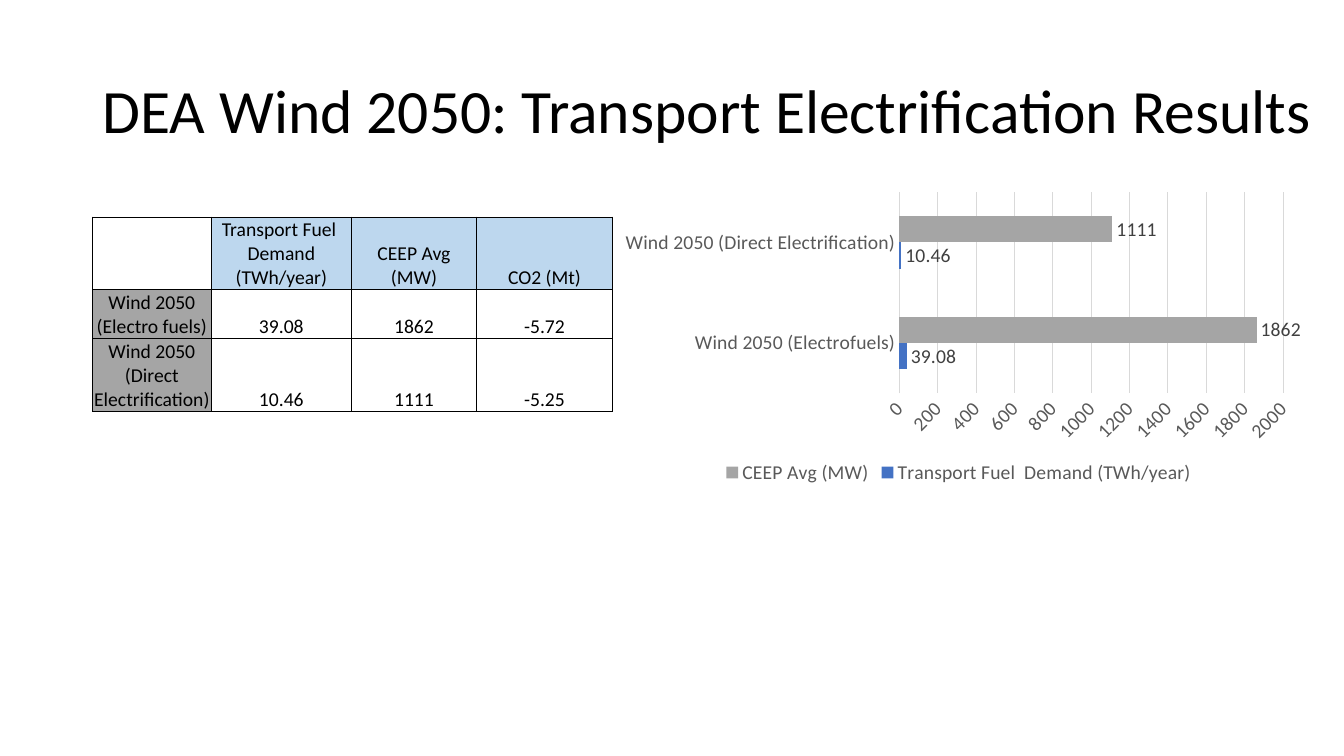
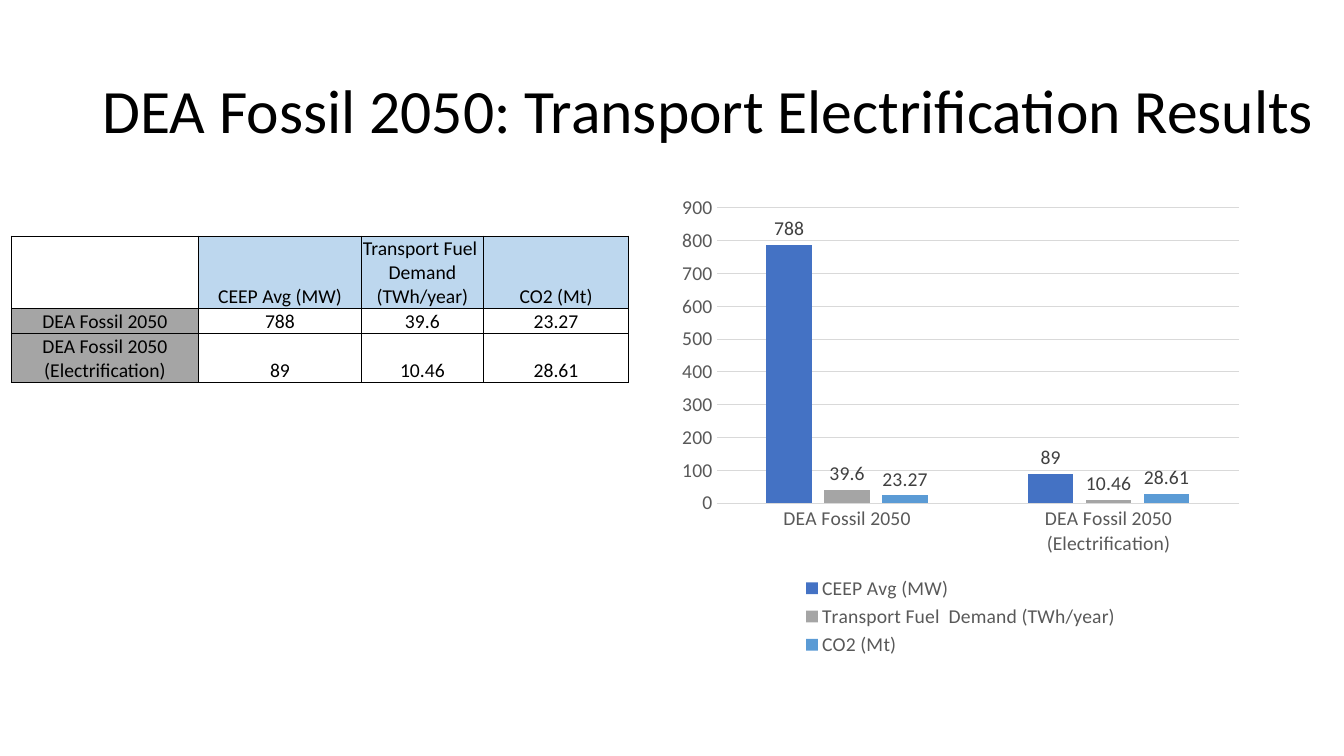
"""Build two slides of transport electrification results, each with a table and a chart."""
import lxml.etree
import pptx
import pptx.chart.data
import pptx.dml.color
import pptx.enum.chart
import pptx.enum.text
import pptx.oxml.ns
import pptx.util

Pt = pptx.util.Pt
CHART = pptx.enum.chart
TEXT = pptx.enum.text
COLORS = {
    "text": "000000",
    "axis": "595959",
    "label": "404040",
    "grid": "D9D9D9",
    "header": "BDD7EE",
    "gray": "A5A5A5",
    "blue": "4472C4",
    "sky": "5B9BD5",
}
FUEL = "Transport Fuel  Demand (TWh/year)"
CEEP = "CEEP Avg (MW)"
CO2 = "CO2 (Mt)"


class Deck:
    """Hold the shared style and the current slide."""

    font = "Calibri"
    title_box = dict(left=Pt(66), top=Pt(29), width=Pt(894), height=Pt(104))
    title_frame = dict(
        word_wrap=True,
        auto_size=TEXT.MSO_AUTO_SIZE.NONE,
        vertical_anchor=TEXT.MSO_ANCHOR.MIDDLE,
    )
    title_paragraph = dict(alignment=TEXT.PP_ALIGN.LEFT, line_spacing=0.9)
    cell_format = dict(
        vertical_anchor=TEXT.MSO_ANCHOR.BOTTOM,
        margin_left=Pt(0.75),
        margin_right=Pt(0.75),
        margin_top=Pt(0.75),
        margin_bottom=Pt(0),
    )
    table_flags = dict(first_row=False, horz_banding=False)
    legend_format = dict(
        position=CHART.XL_LEGEND_POSITION.BOTTOM, include_in_layout=False
    )
    label_format = dict(
        show_value=True, position=CHART.XL_LABEL_POSITION.OUTSIDE_END
    )
    axis_format = dict(
        major_tick_mark=CHART.XL_TICK_MARK.NONE,
        minor_tick_mark=CHART.XL_TICK_MARK.NONE,
    )

    def __init__(self):
        """Start an empty widescreen presentation."""
        self.prs = pptx.Presentation()
        self.put(self.prs, dict(slide_width=Pt(960), slide_height=Pt(540)))
        self.s = None

    def put(self, target, values):
        """Set every attribute of the dict on the target."""
        for name, value in values.items():
            setattr(target, name, value)

    def rgb(self, color):
        """Return the named colour."""
        return pptx.dml.color.RGBColor.from_string(COLORS[color])

    def style(self, font, color="text", size=14):
        """Format a font."""
        self.put(font, dict(name=self.font, size=Pt(size), bold=False))
        font.color.rgb = self.rgb(color)

    def fill(self, target, color):
        """Fill with a named colour, or with nothing."""
        if color:
            target.fill.solid()
            target.fill.fore_color.rgb = self.rgb(color)
        else:
            target.fill.background()

    def line(self, line, color):
        """Draw a thin chart line."""
        line.color.rgb = self.rgb(color)
        line.width = Pt(0.75)

    def slide(self, title):
        """Add a slide with its title."""
        self.s = self.prs.slides.add_slide(self.prs.slide_layouts[5])
        sp = self.s.shapes.title
        self.put(sp, self.title_box)
        tf = sp.text_frame
        self.put(tf, self.title_frame)
        p = tf.paragraphs[0]
        self.put(p, self.title_paragraph)
        r = p.add_run()
        r.text = title
        self.style(r.font, size=44)

    def borders(self, cell):
        """Outline a cell in black."""
        qn = pptx.oxml.ns.qn
        tc_pr = cell._tc.get_or_add_tcPr()
        for side in ("lnL", "lnR", "lnT", "lnB"):
            ln = lxml.etree.SubElement(tc_pr, qn(f"a:{side}"), w=str(Pt(0.5)))
            solid = lxml.etree.SubElement(ln, qn("a:solidFill"))
            lxml.etree.SubElement(solid, qn("a:srgbClr"), val=COLORS["text"])

    def table(self, left, top, widths, heights, rows):
        """Add a table with a header row and a header column."""
        tbl = self.s.shapes.add_table(
            len(heights), len(widths),
            Pt(left), Pt(top), Pt(sum(widths)), Pt(sum(heights)),
        ).table
        self.put(tbl, self.table_flags)
        for column, width in zip(tbl.columns, widths):
            column.width = Pt(width)
        for row, height in zip(tbl.rows, heights):
            row.height = Pt(height)
        for i, row in enumerate(rows):
            for j, text in enumerate(row):
                cell = tbl.cell(i, j)
                self.put(cell, self.cell_format)
                self.borders(cell)
                color = "header" if i == 0 else "gray" if j == 0 else None
                self.fill(cell, color if text else None)
                if text:
                    p = cell.text_frame.paragraphs[0]
                    p.alignment = TEXT.PP_ALIGN.CENTER
                    r = p.add_run()
                    r.text = text
                    self.style(r.font)

    def chart(self, kind, box, categories, series, plot_format, scale):
        """Add a clustered chart with labelled bars."""
        data = pptx.chart.data.CategoryChartData()
        data.categories = categories
        for name, values, _ in series:
            data.add_series(name, values)
        chart = self.s.shapes.add_chart(kind, *map(Pt, box), data).chart
        self.style(chart.font)
        self.put(chart, dict(has_title=False, has_legend=True))
        self.put(chart.legend, self.legend_format)
        self.style(chart.legend.font, "axis")
        for axis in (chart.category_axis, chart.value_axis):
            self.put(axis, self.axis_format)
            self.style(axis.tick_labels.font, "axis")
        self.line(chart.category_axis.format.line, "grid")
        value_axis = chart.value_axis
        self.put(value_axis, scale)
        value_axis.format.line.fill.background()
        self.line(value_axis.major_gridlines.format.line, "grid")
        plot = chart.plots[0]
        self.put(plot, dict(plot_format, vary_by_categories=False))
        for ser, (_, _, color) in zip(plot.series, series):
            self.fill(ser.format, color)
            labels = ser.data_labels
            self.put(labels, self.label_format)
            self.style(labels.font, "label")


def main():
    """Build and save the two slides."""
    deck = Deck()
    deck.slide("DEA Wind 2050: Transport Electrification Results")
    deck.table(
        66, 155, [85, 100, 89.5, 97], [52, 34.5, 52],
        [
            ["", FUEL, CEEP, CO2],
            ["Wind 2050 (Electro fuels)", "39.08", "1862", "-5.72"],
            ["Wind 2050 (Direct Electrification)", "10.46", "1111", "-5.25"],
        ],
    )
    deck.chart(
        CHART.XL_CHART_TYPE.BAR_CLUSTERED, (437, 133, 495.5, 216),
        ["Wind 2050 (Electrofuels)", "Wind 2050 (Direct Electrification)"],
        [(FUEL, (39.08, 10.46), "blue"), (CEEP, (1862, 1111), "gray")],
        dict(gap_width=182),
        dict(minimum_scale=0, maximum_scale=2000, major_unit=200),
    )

    deck.slide("DEA Fossil 2050: Transport Electrification Results")
    fossil = ["DEA Fossil 2050", "DEA Fossil 2050 (Electrification)"]
    deck.chart(
        CHART.XL_CHART_TYPE.COLUMN_CLUSTERED, (479, 133, 414.5, 339), fossil,
        [
            (CEEP, (788, 89), "blue"),
            (FUEL, (39.6, 10.46), "gray"),
            (CO2, (23.27, 28.61), "sky"),
        ],
        dict(gap_width=219, overlap=-27),
        dict(minimum_scale=0, maximum_scale=900, major_unit=100),
    )
    deck.table(
        8, 168.5, [134, 116, 87.5, 103.5], [52, 17.5, 34.5],
        [
            ["", CEEP, FUEL, CO2],
            [fossil[0], "788", "39.6", "23.27"],
            [fossil[1], "89", "10.46", "28.61"],
        ],
    )
    deck.prs.save("out.pptx")


if __name__ == "__main__":
    main()
